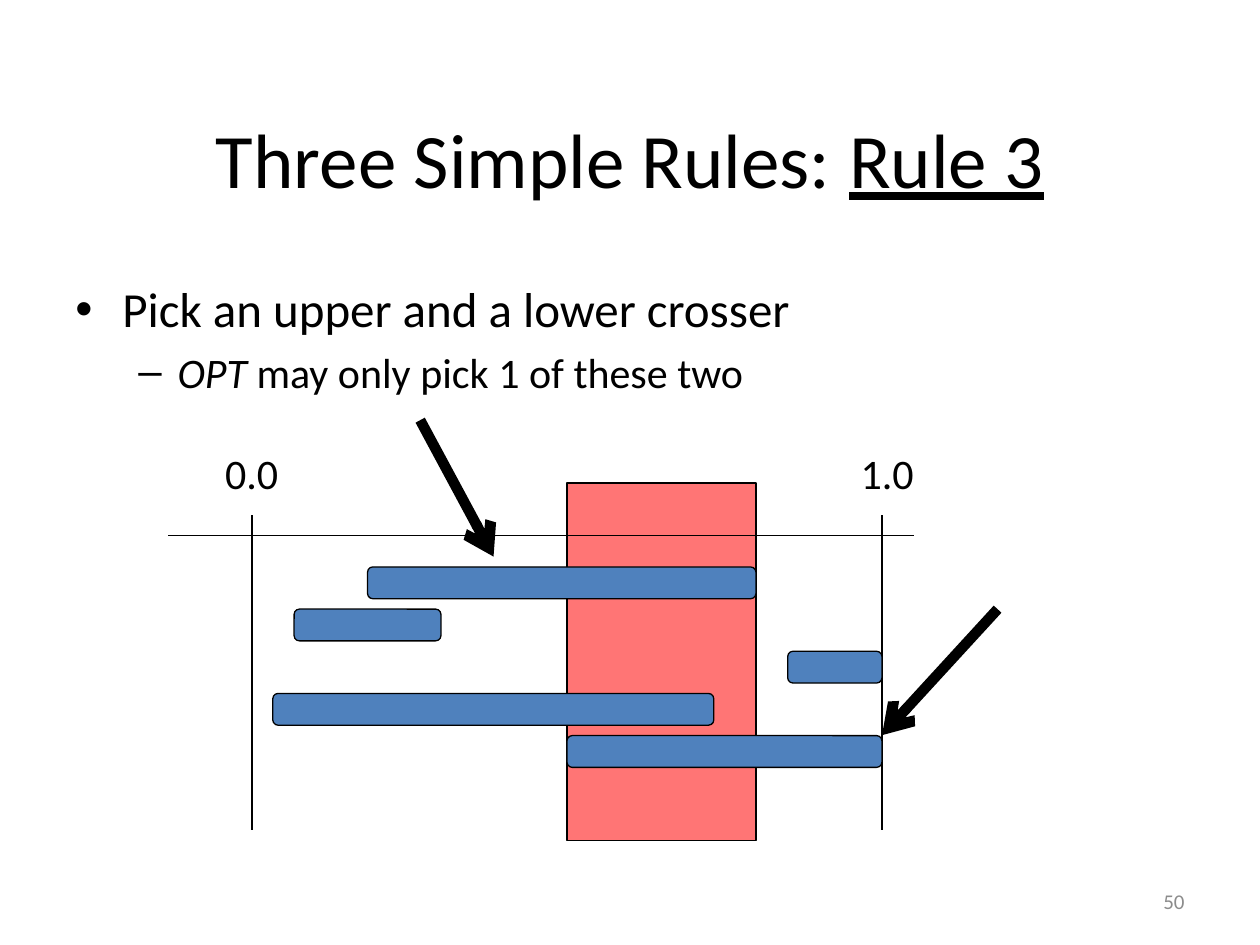
from lxml.etree import SubElement
from pptx import Presentation
from pptx.dml.color import RGBColor
from pptx.enum.shapes import MSO_CONNECTOR, MSO_SHAPE
from pptx.enum.text import MSO_ANCHOR, PP_ALIGN
from pptx.oxml.ns import qn
from pptx.util import Cm, Pt

BLACK = RGBColor(0x00, 0x00, 0x00)
GREY = RGBColor(0x8C, 0x8C, 0x8C)
RED = RGBColor(0xFF, 0x00, 0x00)
BLUE = RGBColor(0x4F, 0x81, 0xBD)
FONT = "Calibri"


def add_run(paragraph, text, size, color=BLACK):
    run = paragraph.add_run()
    run.text = text
    run.font.name = FONT
    run.font.size = Pt(size)
    run.font.color.rgb = color
    return run


def add_line(x1, y1, x2, y2, width=0.75):
    line = slide.shapes.add_connector(
        MSO_CONNECTOR.STRAIGHT, Cm(x1), Cm(y1), Cm(x2), Cm(y2))
    line.line.color.rgb = BLACK
    line.line.width = Pt(width)
    SubElement(line._element.spPr, qn("a:effectLst"))
    return line


prs = Presentation()
prs.slide_width, prs.slide_height = Cm(25.4), Cm(19.05)
slide = prs.slides.add_slide(prs.slide_layouts[5])

# Title
title = slide.shapes.title
title.left, title.top, title.width, title.height = Cm(1.27), Cm(1.27), Cm(22.86), Cm(3.81)
title.text_frame.vertical_anchor = MSO_ANCHOR.MIDDLE
heading = title.text_frame.paragraphs[0]
heading.alignment = PP_ALIGN.CENTER
add_run(heading, "Three Simple Rules: ", 44)
add_run(heading, "Rule 3", 44).font.underline = True

# Rule text: bullet, level, left margin, hanging indent, size, (text, italic) runs
rules = slide.shapes.add_textbox(Cm(1.27), Cm(5.5), Cm(19.05), Cm(2.96)).text_frame
rules.word_wrap = True
rule_lines = [
    ("•", 0, 0.95, 0.95, 28, [("Pick an upper and a lower crosser", False)]),
    ("–", 1, 2.06, 0.79, 24, [("OPT", True), (" may only pick 1 of these two", False)]),
]
for bullet, level, margin, hanging, size, parts in rule_lines:
    rule = rules.add_paragraph() if level else rules.paragraphs[0]
    rule.level = level
    props = rule._p.get_or_add_pPr()
    props.set("marL", str(Cm(margin)))
    props.set("indent", str(-Cm(hanging)))
    SubElement(props, qn("a:buFont"), typeface="Arial")
    SubElement(props, qn("a:buChar"), char=bullet)
    if level:
        rule.space_before = Pt(0.2 * size)
    for text, italic in parts:
        add_run(rule, text, size).font.italic = italic

# Crossing region
region = slide.shapes.add_shape(
    MSO_SHAPE.RECTANGLE, Cm(11.43), Cm(9.74), Cm(3.81), Cm(7.2))
region.shadow.inherit = False
region.fill.solid()
region.fill.fore_color.rgb = RED
SubElement(region._element.spPr.find(".//" + qn("a:srgbClr")), qn("a:alpha"), val="54000")
region.line.color.rgb = BLACK
region.line.width = Pt(0.75)

# Axis with its two limits
for limit_x in (5.08, 17.78):
    add_line(limit_x, 10.39, limit_x, 16.74)
add_line(3.39, 10.8, 18.42, 10.8)

# Limit labels and slide number
labels = [
    ("0.0", 4.23, 8.89, 1.69, 1.29, 24, BLACK, PP_ALIGN.CENTER),
    ("1.0", 16.93, 8.89, 1.91, 1.29, 24, BLACK, PP_ALIGN.CENTER),
    ("50", 18.2, 17.66, 5.93, 1.01, 12, GREY, PP_ALIGN.RIGHT),
]
for text, left, top, width, height, size, color, alignment in labels:
    label = slide.shapes.add_textbox(Cm(left), Cm(top), Cm(width), Cm(height)).text_frame
    label.word_wrap = True
    label.vertical_anchor = MSO_ANCHOR.MIDDLE if color == GREY else MSO_ANCHOR.TOP
    label.paragraphs[0].alignment = alignment
    add_run(label.paragraphs[0], text, size, color)

# Intervals, one per row: left and right end
intervals = [(7.41, 15.24), (5.93, 8.89), (15.88, 17.78), (5.5, 14.39), (11.43, 17.78)]
for row, (start, end) in enumerate(intervals):
    interval = slide.shapes.add_shape(
        MSO_SHAPE.ROUNDED_RECTANGLE,
        Cm(start), Cm(11.43 + 0.85 * row), Cm(end - start), Cm(0.64))
    interval.shadow.inherit = False
    interval.fill.solid()
    interval.fill.fore_color.rgb = BLUE
    interval.line.color.rgb = BLACK
    interval.line.width = Pt(0.75)

# Arrows to the upper and the lower crosser
for ends in [(8.47, 8.47, 9.95, 11.22), (20.11, 12.28, 17.78, 14.82)]:
    pointer = add_line(*ends, width=6)
    SubElement(pointer.line._get_or_add_ln(), qn("a:tailEnd"), type="arrow")

prs.save("out.pptx")
